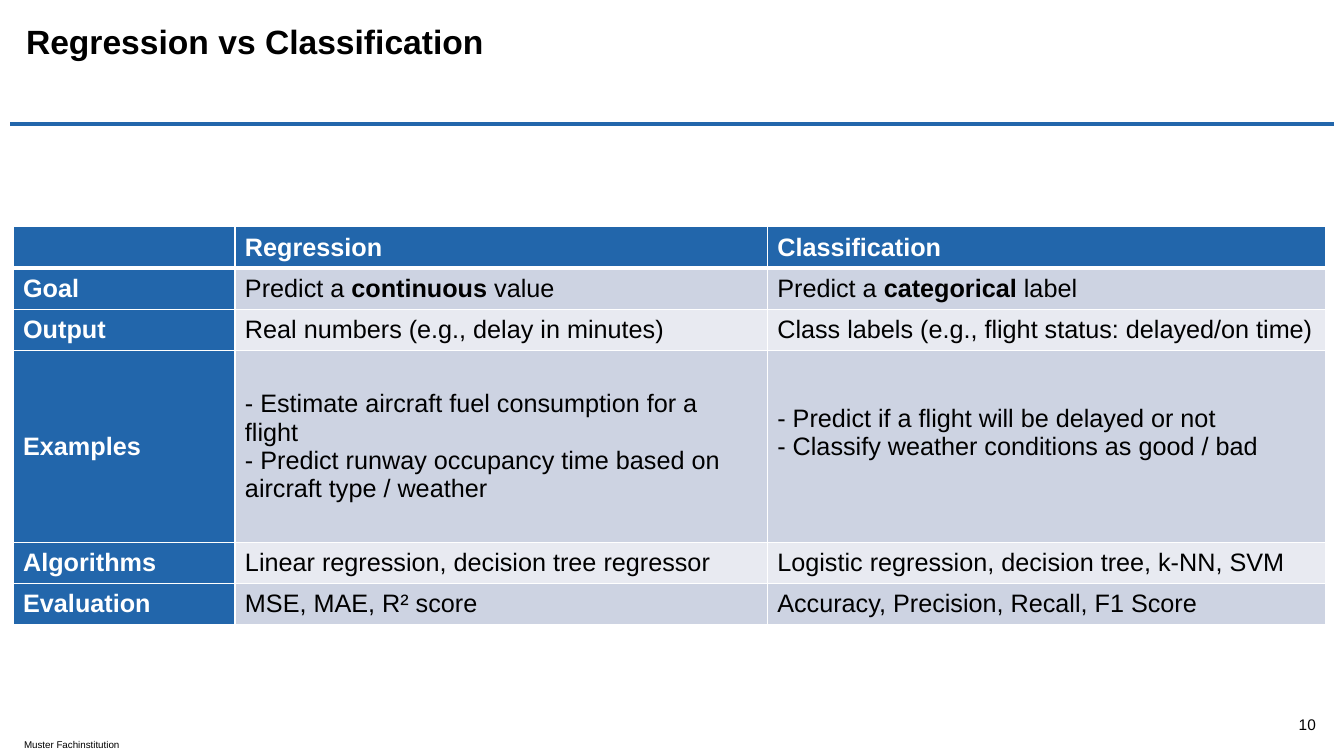
import pptx
import pptx.dml.color
import pptx.enum.shapes
import pptx.enum.text
import pptx.oxml
import pptx.oxml.ns
import pptx.util
from pptx.util import Inches

FONT = "Arial"
BLUE, BLACK, WHITE = "2266AB", "000000", "FFFFFF"
BANDS = ["CDD3E2", "E8EAF1"]
COL_WIDTHS = [2.2, 5.28, 5.54]
ROW_HEIGHTS = [0.41, 0.41, 0.41, 1.9, 0.41, 0.41]
EXAMPLES_ROW = 3
ROWS = [
    ["", "Regression", "Classification"],
    ["Goal", "Predict a **continuous** value", "Predict a **categorical** label"],
    ["Output", "Real numbers (e.g., delay in minutes)",
     "Class labels (e.g., flight status: delayed/on time)"],
    ["Examples",
     "- Estimate aircraft fuel consumption for a flight\n"
     "- Predict runway occupancy time based on aircraft type / weather",
     "- Predict if a flight will be delayed or not\n"
     "- Classify weather conditions as good / bad"],
    ["Algorithms", "Linear regression, decision tree regressor",
     "Logistic regression, decision tree, k-NN, SVM"],
    ["Evaluation", "MSE, MAE, R² score", "Accuracy, Precision, Recall, F1 Score"],
]


def rgb(color):
    return pptx.dml.color.RGBColor.from_string(color)


def set_text(tf, text, size, color=BLACK, bold=False):
    """Write one paragraph per line; parts between ** are bold."""
    for i, line in enumerate(text.split("\n")):
        p = tf.paragraphs[0] if i == 0 else tf.add_paragraph()
        p.font.name = FONT
        p.font.size = pptx.util.Pt(size)
        p.font.color.rgb = rgb(color)
        p.font.bold = bold
        for j, part in enumerate(line.split("**")):
            r = p.add_run()
            r.text = part
            if j % 2:
                r.font.bold = True


def add_text(s, box, text, size, bold=False, align=None, middle=True):
    tf = s.shapes.add_textbox(*map(Inches, box)).text_frame
    tf.word_wrap = True
    if middle:
        tf.vertical_anchor = pptx.enum.text.MSO_ANCHOR.MIDDLE
    set_text(tf, text, size, bold=bold)
    tf.paragraphs[0].alignment = align


def add_rule(s, x1, x2, y):
    sp = s.shapes.add_connector(pptx.enum.shapes.MSO_CONNECTOR.STRAIGHT,
                                Inches(x1), Inches(y), Inches(x2), Inches(y))
    sp.line.color.rgb = rgb(BLUE)
    sp.line.width = pptx.util.Pt(2.5)
    sp._element.spPr.append(pptx.oxml.parse_xml(
        f'<a:effectLst {pptx.oxml.ns.nsdecls("a")}/>'))


def set_borders(cell, top, bottom):
    """Draw white borders, with top and bottom widths in points."""
    for side, width in (("L", 1), ("R", 1), ("T", top), ("B", bottom)):
        cell._tc.get_or_add_tcPr().append(pptx.oxml.parse_xml(
            f'<a:ln{side} {pptx.oxml.ns.nsdecls("a")} w="{pptx.util.Pt(width)}">'
            f'<a:solidFill><a:srgbClr val="{WHITE}"/></a:solidFill></a:ln{side}>'))


def add_comparison_table(s, left, top):
    table = s.shapes.add_table(
        len(ROWS), len(COL_WIDTHS), Inches(left), Inches(top),
        Inches(sum(COL_WIDTHS)), Inches(sum(ROW_HEIGHTS))).table
    table.first_col = True
    for column, width in zip(table.columns, COL_WIDTHS):
        column.width = Inches(width)
    for i, (row, height) in enumerate(zip(table.rows, ROW_HEIGHTS)):
        row.height = Inches(height)
        for j, cell in enumerate(row.cells):
            heading = i == 0 or j == 0
            set_borders(cell, 3 if i == 1 else 1, 3 if i == 0 else 1)
            cell.fill.solid()
            cell.fill.fore_color.rgb = rgb(BLUE if heading else BANDS[(i - 1) % 2])
            cell.vertical_anchor = pptx.enum.text.MSO_ANCHOR.MIDDLE
            set_text(cell.text_frame, ROWS[i][j], 18,
                     WHITE if heading else BLACK, heading)
    # The classification examples sit one half line above the row's middle.
    table.cell(EXAMPLES_ROW, 2).margin_bottom = Inches(0.33)


def main():
    prs = pptx.Presentation()
    prs.slide_width, prs.slide_height = Inches(13.33), Inches(7.5)
    s = prs.slides.add_slide(prs.slide_layouts[6])
    add_text(s, (0.14, 7.28, 2.29, 0.22), "Muster Fachinstitution", 7, middle=False)
    add_rule(s, 0.1, 13.23, 1.23)
    add_comparison_table(s, 0.13, 2.25)
    add_text(s, (12.19, 7.06, 0.96, 0.25), "10", 11,
             align=pptx.enum.text.PP_ALIGN.RIGHT)
    add_text(s, (0.16, 0.13, 10.13, 0.55), "Regression vs Classification", 24, bold=True)
    prs.save("out.pptx")


if __name__ == "__main__":
    main()
